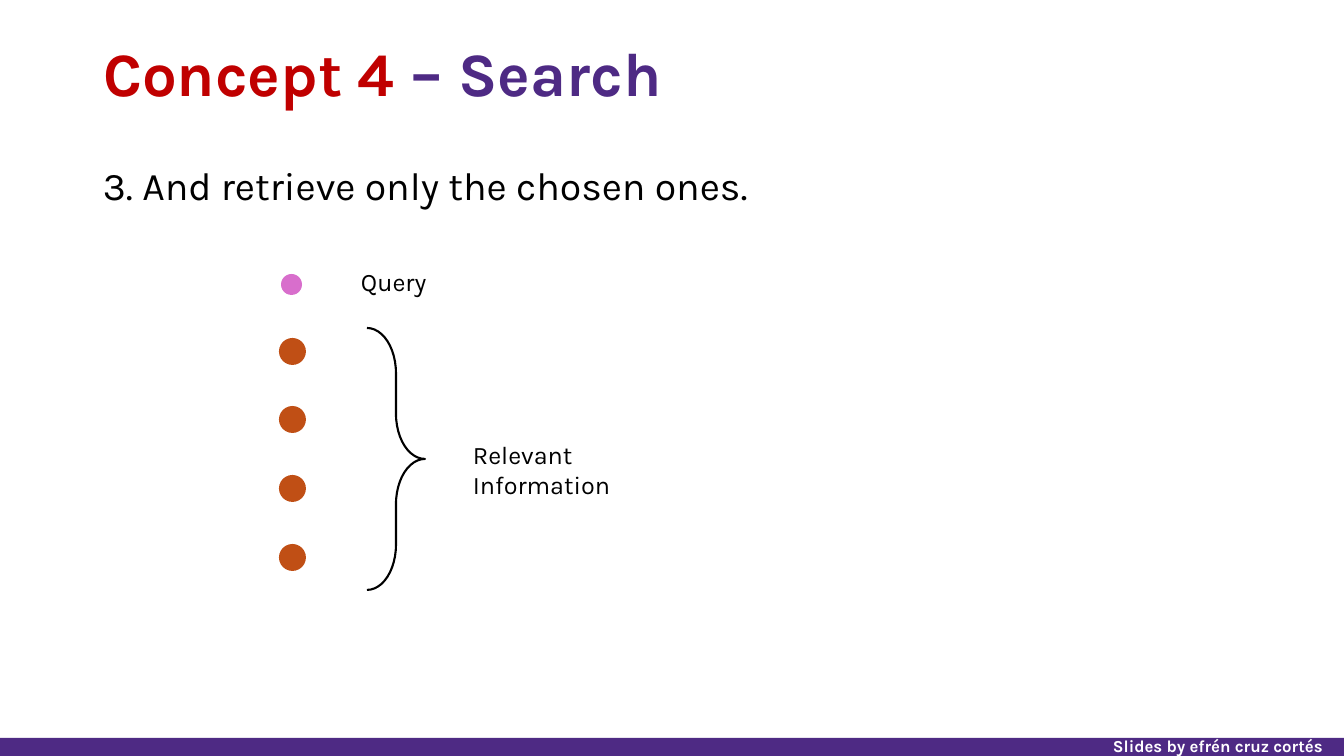
from pptx import Presentation
from pptx import util as u
from pptx.dml.color import RGBColor
from pptx.enum import shapes, text

SCALE = 914400 / 100.8
FONT = "Karla"
COLORS = {
    "purple": "4E2A84",
    "red": "C00000",
    "black": "000000",
    "white": "FFFFFF",
    "query": "D86ECC",
    "match": "C04F15",
}


def px(*lengths):
    """Turn lengths in px into EMU."""
    return [u.Emu(round(length * SCALE)) for length in lengths]


def color(name):
    """Look up a named colour."""
    return RGBColor.from_string(COLORS[name])


def write(shape, spans, size, bold=False, frame_format=None, para_format=None):
    """Fill the first paragraph of a shape with coloured spans."""
    frame = shape.text_frame
    para = frame.paragraphs[0]
    frame_values = {"word_wrap": True, "auto_size": text.MSO_AUTO_SIZE.NONE,
                    "vertical_anchor": text.MSO_ANCHOR.TOP, **(frame_format or {})}
    para_values = {"alignment": text.PP_ALIGN.LEFT, **(para_format or {})}
    for target, values in ((frame, frame_values), (para, para_values)):
        for name, value in values.items():
            setattr(target, name, value)
    for words, shade in spans:
        span = para.add_run()
        span.text = words
        for name, value in {"name": FONT, "size": u.Pt(size), "bold": bold}.items():
            setattr(span.font, name, value)
        span.font.color.rgb = color(shade)


def add_text(page, box, spans, size, **formats):
    """Add a text box with formatted spans."""
    write(page.shapes.add_textbox(*px(*box)), spans, size, **formats)


def add_solid(page, kind, box, shade):
    """Add a filled shape without outline or shadow."""
    shape = page.shapes.add_shape(kind, *px(*box))
    shape.shadow.inherit = False
    shape.fill.solid()
    shape.fill.fore_color.rgb = color(shade)
    shape.line.fill.background()


def add_footer(page, box):
    """Place the bottom band and its author line."""
    left, top, width, height = box
    add_solid(page, shapes.MSO_SHAPE.RECTANGLE, box, "purple")
    add_text(page, (left + width - 250, top - 7, 248, 30),
             [("Slides by efrén cruz cortés", "white")], 12, bold=True,
             frame_format={"vertical_anchor": text.MSO_ANCHOR.BOTTOM},
             para_format={"alignment": text.PP_ALIGN.CENTER})


def add_heading(page, box):
    """Place the two-coloured title and the statement below it."""
    left, top, width, height = box
    title = page.shapes.title
    sides = px(left, top, width, 99)
    for name, value in zip(("left", "top", "width", "height"), sides):
        setattr(title, name, value)
    write(title, [("Concept 4", "red"), (" – Search", "purple")], 44, bold=True,
          frame_format={"vertical_anchor": text.MSO_ANCHOR.MIDDLE},
          para_format={"line_spacing": 0.9})
    add_text(page, (left, top + 135, width, height - 135),
             [("3. And retrieve only the chosen ones.", "black")], 28,
             para_format={"line_spacing": 0.9, "alignment": text.PP_ALIGN.JUSTIFY})


def add_results(page, box):
    """Place the query dot, the column of matches, the brace and the labels."""
    left, top, width, height = box
    add_solid(page, shapes.MSO_SHAPE.OVAL, (left + 2, top, 21, 21), "query")
    for index in range(4):
        dot_top = top + 64 + index * 206 // 3
        add_solid(page, shapes.MSO_SHAPE.OVAL, (left, dot_top, 27, 27), "match")

    brace = page.shapes.add_shape(shapes.MSO_SHAPE.RIGHT_BRACE,
                                  *px(left + 88, top + 54, 58, height - 54))
    brace.shadow.inherit = False
    brace.fill.background()
    brace.line.color.rgb = color("black")
    brace.line.width = u.Pt(1.5)
    brace.adjustments[0] = 0.78
    brace.adjustments[1] = 0.5

    add_text(page, (left + 72, top - 13, 87, 40), [("Query", "black")], 18,
             frame_format={"word_wrap": False})
    add_text(page, (left + 184, top + 160, width - 184, 70),
             [("Relevant Information", "black")], 18)


def main():
    """Build and save the deck."""
    deck = Presentation()
    deck.slide_width, deck.slide_height = px(1344, 756)
    page = deck.slides.add_slide(deck.slide_layouts[5])
    add_footer(page, (0, 738, 1344, 18))
    add_heading(page, (93, 27, 1159, 246))
    add_results(page, (279, 274, 433, 316))
    deck.save("out.pptx")


if __name__ == "__main__":
    main()
